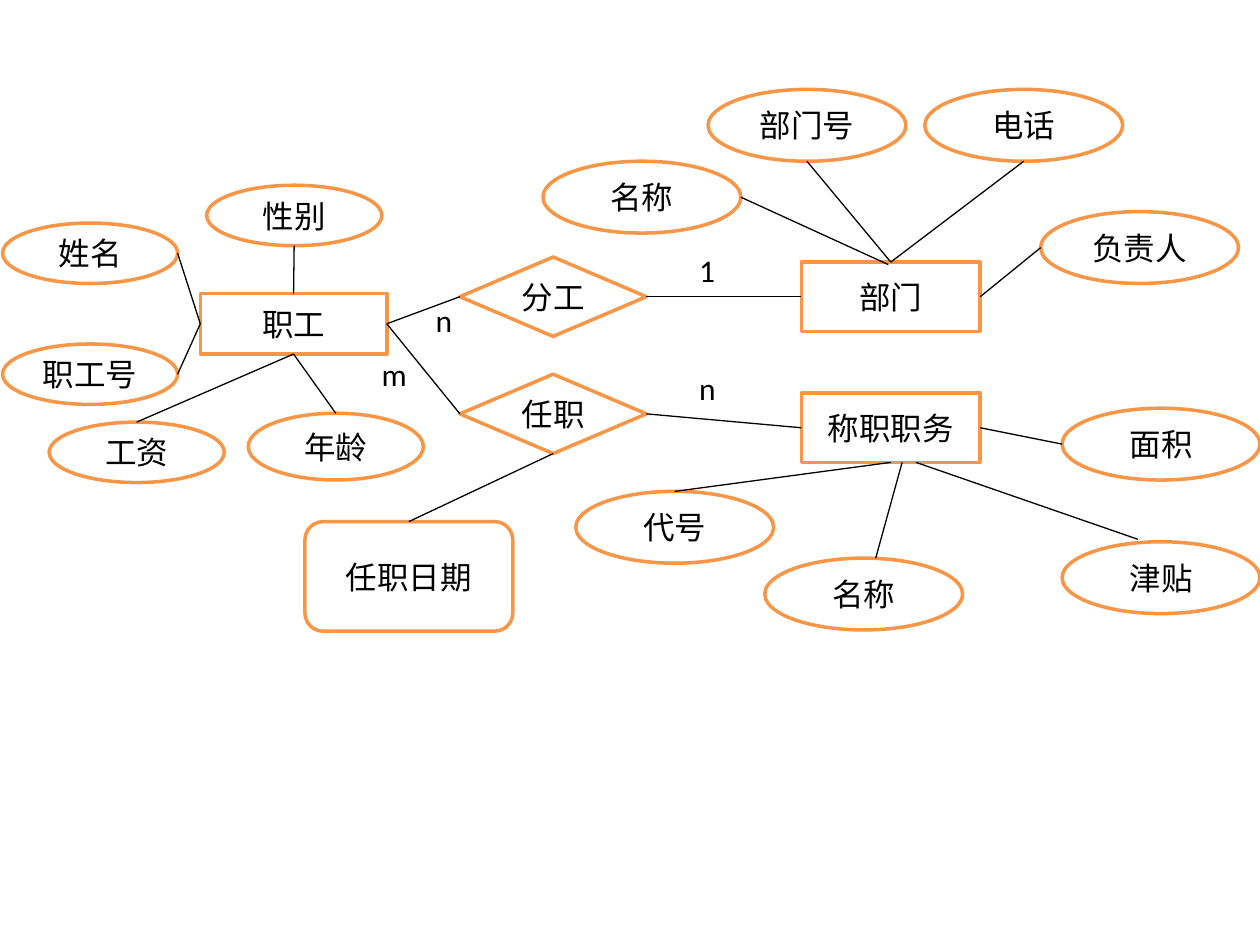
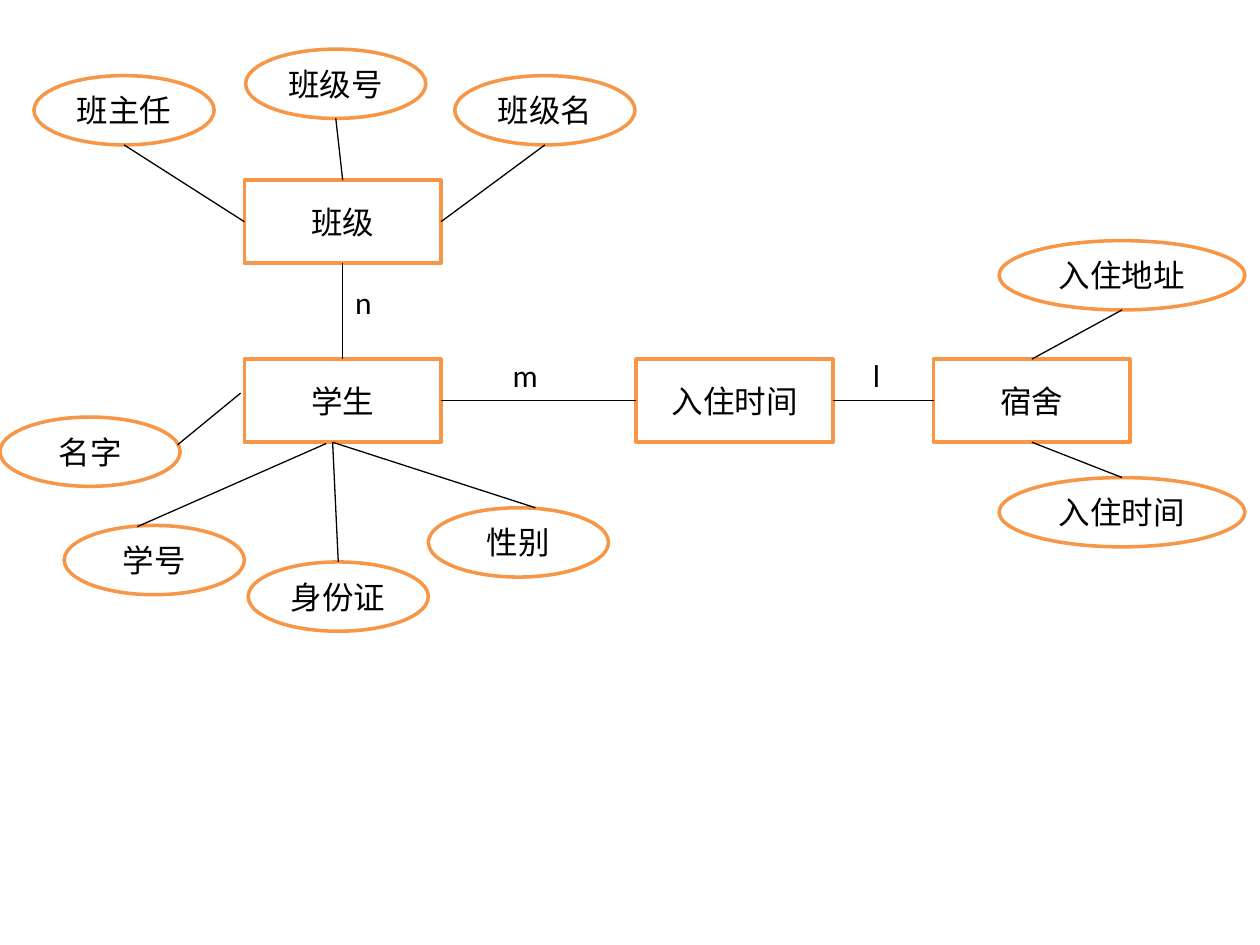
"""Two entity-relationship diagrams: staff and departments, students and dormitories."""
from dataclasses import dataclass

import pptx
import pptx.dml.color
import pptx.enum.shapes
import pptx.enum.text
import pptx.oxml.ns
import pptx.util
from lxml import etree

Inches = pptx.util.Inches
Shape = pptx.enum.shapes.MSO_SHAPE
Align = pptx.enum.text.PP_ALIGN

COLOURS = {"fill": "FFFFFF", "outline": "F79646", "ink": "000000"}
FONT = "Calibri"
TEXT_SIZE = 18

Point = tuple[float, float]
Size = tuple[float, float]


@dataclass(frozen=True)
class Node:
    """A labelled shape, measured in inches, with a joint on each side."""
    text: str
    x: float
    y: float
    size: Size
    kind: Shape = Shape.OVAL

    @property
    def left(self) -> Point:
        """Middle of the left side."""
        return self.x, self.y + self.size[1] / 2

    @property
    def right(self) -> Point:
        """Middle of the right side."""
        return self.x + self.size[0], self.y + self.size[1] / 2

    @property
    def top(self) -> Point:
        """Middle of the top side."""
        return self.x + self.size[0] / 2, self.y

    @property
    def bottom(self) -> Point:
        """Middle of the bottom side."""
        return self.x + self.size[0] / 2, self.y + self.size[1]


@dataclass(frozen=True)
class Label:
    """A cardinality letter beside a link."""
    text: str
    x: float
    y: float
    width: float = 0.36


@dataclass(frozen=True)
class Diagram:
    """Everything drawn on one page."""
    nodes: list[Node]
    links: list[tuple[Point, Point]]
    labels: list[Label]


def colour(name: str) -> pptx.dml.color.RGBColor:
    """Look up a named colour."""
    return pptx.dml.color.RGBColor.from_string(COLOURS[name])


def write_text(box, text: str, *, size: float = TEXT_SIZE, align=Align.LEFT,
               anchor=pptx.enum.text.MSO_ANCHOR.TOP) -> None:
    """Put one formatted paragraph into a shape."""
    frame = box.text_frame
    frame.word_wrap = True
    frame.vertical_anchor = anchor
    para = frame.paragraphs[0]
    para.alignment = align
    span = para.add_run()
    span.text = text
    span.font.name = FONT
    span.font.size = pptx.util.Pt(size)
    span.font.color.rgb = colour("ink")


def draw_node(page, node: Node) -> None:
    """Draw an outlined shape with centred text."""
    box = page.shapes.add_shape(node.kind, Inches(node.x), Inches(node.y),
                                Inches(node.size[0]), Inches(node.size[1]))
    box.shadow.inherit = False
    box.fill.solid()
    box.fill.fore_color.rgb = colour("fill")
    box.line.color.rgb = colour("outline")
    box.line.width = pptx.util.Pt(2)
    write_text(box, node.text, align=Align.CENTER,
               anchor=pptx.enum.text.MSO_ANCHOR.MIDDLE)


def draw_link(page, start: Point, end: Point) -> None:
    """Draw a thin straight line between two points."""
    line = page.shapes.add_connector(
        pptx.enum.shapes.MSO_CONNECTOR.STRAIGHT,
        *(Inches(value) for value in (*start, *end)))
    line.line.color.rgb = colour("ink")
    line.line.width = pptx.util.Pt(0.75)
    properties = line._element.spPr
    etree.SubElement(properties, pptx.oxml.ns.qn("a:effectLst"))


def draw_label(page, label: Label) -> None:
    """Draw a cardinality letter."""
    box = page.shapes.add_textbox(Inches(label.x), Inches(label.y),
                                  Inches(label.width), Inches(0.4))
    write_text(box, label.text)
    box.text_frame.auto_size = pptx.enum.text.MSO_AUTO_SIZE.SHAPE_TO_FIT_TEXT


def draw_diagram(deck, diagram: Diagram) -> None:
    """Add a blank page and draw a diagram on it."""
    page = deck.slides.add_slide(deck.slide_layouts[6])
    for node in diagram.nodes:
        draw_node(page, node)
    for start, end in diagram.links:
        draw_link(page, start, end)
    for label in diagram.labels:
        draw_label(page, label)


def staff_diagram() -> Diagram:
    """Staff, their departments and their posts."""
    small, large = (1.39, 0.48), (1.57, 0.57)
    entity, relation = (1.42, 0.55), (1.48, 0.63)

    staff = Node("职工", 1.59, 2.33, (1.48, 0.48), Shape.RECTANGLE)
    name = Node("姓名", 0.02, 1.77, small)
    gender = Node("性别", 1.64, 1.47, small)
    wage = Node("工资", 0.39, 3.35, small)
    number = Node("职工号", 0.02, 2.73, small)
    age = Node("年龄", 1.97, 3.28, (1.39, 0.53))

    division = Node("分工", 3.65, 2.04, relation, Shape.FLOWCHART_DECISION)
    tenure = Node("任职", 3.65, 2.97, relation, Shape.FLOWCHART_DECISION)
    start_date = Node("任职日期", 2.42, 4.14, (1.65, 0.87), Shape.ROUNDED_RECTANGLE)

    department = Node("部门", 6.36, 2.08, entity, Shape.RECTANGLE)
    department_name = Node("名称", 4.31, 1.28, large)
    manager = Node("负责人", 8.26, 1.68, large)
    phone = Node("电话", 7.34, 0.71, large)
    department_number = Node("部门号", 5.62, 0.71, large)

    post = Node("称职职务", 6.36, 3.12, entity, Shape.RECTANGLE)
    code = Node("代号", 4.57, 3.9, large)
    area = Node("面积", 8.43, 3.24, large)
    allowance = Node("津贴", 8.43, 4.3, large)
    post_name = Node("名称", 6.07, 4.43, large)

    return Diagram(
        nodes=[staff, name, gender, wage, number, age, division, tenure, start_date,
               department, post, department_name, manager, phone, department_number,
               code, area, allowance, post_name],
        links=[
            (name.right, staff.left),
            (number.right, staff.left),
            (gender.bottom, staff.top),
            (age.top, staff.bottom),
            (staff.bottom, wage.top),
            (division.left, staff.right),
            (staff.right, tenure.left),
            (tenure.bottom, start_date.top),
            (division.right, department.left),
            (tenure.right, post.left),
            ((7.05, 2.1), department_name.right),
            (department_number.bottom, department.top),
            (phone.bottom, department.top),
            (department.right, manager.left),
            (code.top, post.bottom),
            ((6.95, 4.43), (7.16, 3.67)),
            ((7.27, 3.67), (9.03, 4.28)),
            (post.right, area.left),
        ],
        labels=[Label("m", 2.93, 2.77), Label("1", 5.45, 1.94, 0.43),
                Label("n", 3.36, 2.34, 0.37), Label("n", 5.45, 2.88, 0.43)])


def student_diagram() -> Diagram:
    """Students, their classes and their dormitories."""
    entity, small, large = (1.56, 0.66), (1.43, 0.55), (1.95, 0.55)
    row = 2.85

    group = Node("班级", 1.94, 1.43, entity, Shape.RECTANGLE)
    teacher = Node("班主任", 0.27, 0.6, small)
    group_name = Node("班级名", 3.61, 0.6, small)
    group_number = Node("班级号", 1.95, 0.39, small)

    student = Node("学生", 1.94, row, entity, Shape.RECTANGLE)
    gender = Node("性别", 3.4, 4.03, small)
    number = Node("学号", 0.51, 4.17, small)
    identity = Node("身份证", 1.97, 4.46, small)
    name = Node("名字", 0, 3.31, small)

    stay = Node("入住时间", 5.05, row, entity, Shape.RECTANGLE)
    dormitory = Node("宿舍", 7.41, row, entity, Shape.RECTANGLE)
    move_in = Node("入住时间", 7.93, 3.79, large)
    address = Node("入住地址", 7.93, 1.91, large)
    fan = (2.64, 3.51)

    return Diagram(
        nodes=[group, teacher, group_name, group_number, student, gender, number,
               identity, name, stay, move_in, address, dormitory],
        links=[
            (teacher.bottom, group.left),
            (group_number.bottom, group.top),
            (group_name.bottom, group.right),
            (group.bottom, student.top),
            ((1.91, 3.12), (1.41, 3.53)),
            ((2.59, 3.52), (1.09, 4.18)),
            (fan, identity.top),
            (fan, (4.25, 4.03)),
            (student.right, stay.left),
            (stay.right, dormitory.left),
            (dormitory.top, address.bottom),
            (dormitory.bottom, move_in.top),
        ],
        labels=[Label("n", 2.72, 2.2), Label("m", 3.97, 2.78), Label("l", 6.83, 2.78)])


def main() -> None:
    """Build and save the deck."""
    deck = pptx.Presentation()
    deck.slide_width, deck.slide_height = Inches(10), Inches(7.5)
    for diagram in (staff_diagram(), student_diagram()):
        draw_diagram(deck, diagram)
    deck.save("out.pptx")


main()
